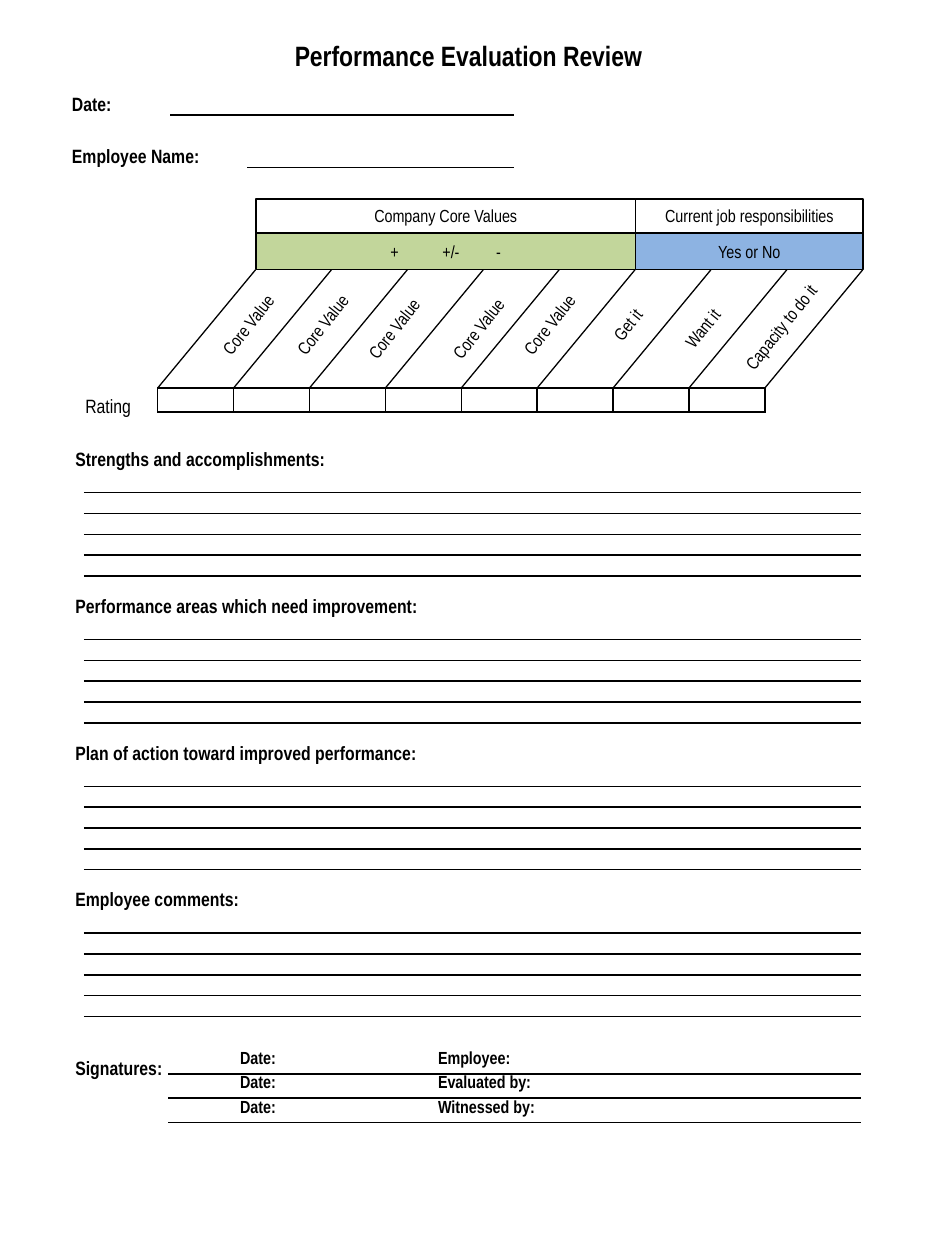
from dataclasses import dataclass

from lxml import etree
from pptx import Presentation
from pptx import util as u
from pptx.dml.color import RGBColor
from pptx.enum import shapes, text
from pptx.oxml.ns import qn


@dataclass(frozen=True)
class Theme:
    font: str = "Arial Narrow"
    black: str = "000000"
    white: str = "FFFFFF"
    green: str = "C2D69B"
    blue: str = "8DB3E2"
    title: int = 16
    heading: int = 11
    body: int = 10
    blank: int = 8
    border: float = 1
    line: float = 0.75


T = Theme()
LEFT, CENTER = text.PP_ALIGN.LEFT, text.PP_ALIGN.CENTER
TOP, MIDDLE = text.MSO_ANCHOR.TOP, text.MSO_ANCHOR.MIDDLE
NO_GRID = "{2D5ABB26-0587-4C30-8999-92F81FD0307C}"


def box(*lengths):
    return [u.Cm(v) for v in lengths]


def write(tf, content, size=T.body, bold=False, align=LEFT, spacing=None):
    p = tf.paragraphs[0]
    p.alignment = align
    if spacing:
        p.line_spacing = spacing
    r = p.add_run()
    r.text = content
    r.font.name, r.font.size, r.font.bold = T.font, u.Pt(size), bold
    r.font.color.rgb = RGBColor.from_string(T.black)
    return p


def set_insets(tf, left=0, top=0, right=0, bottom=0):
    tf.margin_left, tf.margin_top, tf.margin_right, tf.margin_bottom = box(left, top, right, bottom)


def add_title(s, content):
    sp = s.shapes.title
    sp.left, sp.top, sp.width, sp.height = box(2.74, 0.64, 13.41, 0.94)
    tf = sp.text_frame
    tf.auto_size = text.MSO_AUTO_SIZE.NONE
    tf.vertical_anchor = MIDDLE
    write(tf, content, size=T.title, bold=True, align=CENTER)


def add_label(s, content, x, y, w, bold=True):
    tf = s.shapes.add_textbox(*box(x, y, w, 0.74)).text_frame
    tf.word_wrap = True
    write(tf, content, size=T.heading, bold=bold)


def add_slanted_label(s, content, cx, cy):
    w, h = 2.8, 0.7
    sp = s.shapes.add_textbox(*box(cx - w / 2, cy - h / 2, w, h))
    sp.rotation = 308.6
    tf = sp.text_frame
    tf.word_wrap = True
    tf.vertical_anchor = MIDDLE
    set_insets(tf)
    write(tf, content, align=CENTER)


def add_panel(s, content, x, y, w, h, fill, align=CENTER, left=0):
    sp = s.shapes.add_shape(shapes.MSO_SHAPE.RECTANGLE, *box(x, y, w, h))
    sp.shadow.inherit = False
    sp.fill.solid()
    sp.fill.fore_color.rgb = RGBColor.from_string(fill)
    sp.line.color.rgb = RGBColor.from_string(T.black)
    sp.line.width = u.Pt(T.line)
    tf = sp.text_frame
    tf.word_wrap = True
    tf.vertical_anchor = MIDDLE
    set_insets(tf, left=left)
    return write(tf, content, align=align)


def add_tabs(p, positions):
    tabs = etree.SubElement(p._p.get_or_add_pPr(), qn("a:tabLst"))
    for pos in positions:
        etree.SubElement(tabs, qn("a:tab"), pos=str(int(u.Cm(pos))), algn="l")


def add_line(s, x1, y1, x2, y2):
    c = s.shapes.add_connector(shapes.MSO_CONNECTOR.STRAIGHT, *box(x1, y1, x2, y2))
    c.line.color.rgb = RGBColor.from_string(T.black)
    c.line.width = u.Pt(T.line)
    etree.SubElement(c._element.spPr, qn("a:effectLst"))


def set_borders(cell, sides):
    tcPr = cell._tc.get_or_add_tcPr()
    for side in sides:
        ln = etree.SubElement(tcPr, qn("a:ln" + side), w=str(int(u.Pt(T.border))))
        fill = etree.SubElement(ln, qn("a:solidFill"))
        etree.SubElement(fill, qn("a:srgbClr"), val=T.black)


def add_form_table(s, x, y, widths, row_h, rows, size=T.body, grid=False, plain_cols=0):
    frame = s.shapes.add_table(len(rows), len(widths), *box(x, y, sum(widths), row_h * len(rows)))
    tbl = frame.table
    tbl.first_row = tbl.horz_banding = False
    tbl._tbl.tblPr.find(qn("a:tableStyleId")).text = NO_GRID
    for col, w in zip(tbl.columns, widths):
        col.width = u.Cm(w)
    for i, row in enumerate(rows):
        tbl.rows[i].height = u.Cm(row_h)
        for j, content in enumerate(row):
            cell = tbl.cell(i, j)
            set_insets(cell, left=0.18, right=0.18)
            cell.vertical_anchor = TOP
            if grid:
                set_borders(cell, "LRTB")
            elif j >= plain_cols:
                set_borders(cell, "TB" if i else "B")
            cell.fill.background()
            if content:
                write(cell.text_frame, content, size=size, bold=True, spacing=1.15)
            else:
                p = cell.text_frame.paragraphs[0]
                etree.SubElement(p._p, qn("a:endParaRPr"), sz=str(T.blank * 100))


def add_rating_grid(s):
    x, top, bottom, step, slant = 3.18, 5.44, 7.82, 1.53, 1.97
    labels = [("Core Value", 5.0, 6.54), ("Core Value", 6.5, 6.54),
              ("Core Value", 7.94, 6.62), ("Core Value", 9.64, 6.62),
              ("Core Value", 11.07, 6.54), ("Get it", 12.65, 6.54),
              ("Want it", 14.16, 6.62), ("Capacity to do it", 15.74, 6.59)]
    add_form_table(s, x, bottom, [step] * len(labels), 0.49, [[""] * len(labels)], grid=True)
    for i in range(len(labels) + 1):
        add_line(s, x + i * step, bottom, x + i * step + slant, top)
    values, jobs = (5.16, 7.65), (12.81, 4.59)
    p = add_panel(s, "+\t+/-\t-", values[0], 4.7, values[1], 0.74, T.green, align=LEFT, left=2.71)
    add_tabs(p, [1.05, 2.13])
    add_panel(s, "Yes or No", jobs[0], 4.7, jobs[1], 0.74, T.blue)
    add_panel(s, "Company Core Values", values[0], 4.01, values[1], 0.69, T.white)
    add_panel(s, "Current job responsibilities", jobs[0], 4.01, jobs[1], 0.69, T.white)
    for label in labels:
        add_slanted_label(s, *label)
    add_label(s, "Rating", 1.47, 7.82, 1.7, bold=False)


def add_writing_section(s, heading, y):
    add_label(s, heading, 1.27, y, 9.53)
    add_form_table(s, 1.69, y + 0.62, [15.67], 0.42, [[""]] * 5)


def main():
    prs = Presentation()
    prs.slide_width, prs.slide_height = box(19.05, 25.4)
    s = prs.slides.add_slide(prs.slide_layouts[5])
    add_title(s, "Performance Evaluation Review")
    for content, y, widths in [("Date:", 1.9, [2.16, 6.93]),
                               ("Employee Name:", 2.96, [3.71, 5.38])]:
        add_form_table(s, 1.27, y, widths, 0.42, [[content, ""]], size=T.heading, plain_cols=1)
    add_rating_grid(s)
    headings = ["Strengths and accomplishments:", "Performance areas which need improvement:",
                "Plan of action toward improved performance:", "Employee comments:"]
    for i, heading in enumerate(headings):
        add_writing_section(s, heading, 8.89 + 2.96 * i)
    signers = ["Employee:", "Evaluated by:", "Witnessed by:"]
    add_form_table(s, 3.39, 21.16, [1.27, 3.99, 8.71], 0.47,
                   [["", "Date:", signer] for signer in signers])
    add_label(s, "Signatures:", 1.27, 21.16, 2.5)
    prs.save("out.pptx")


main()
